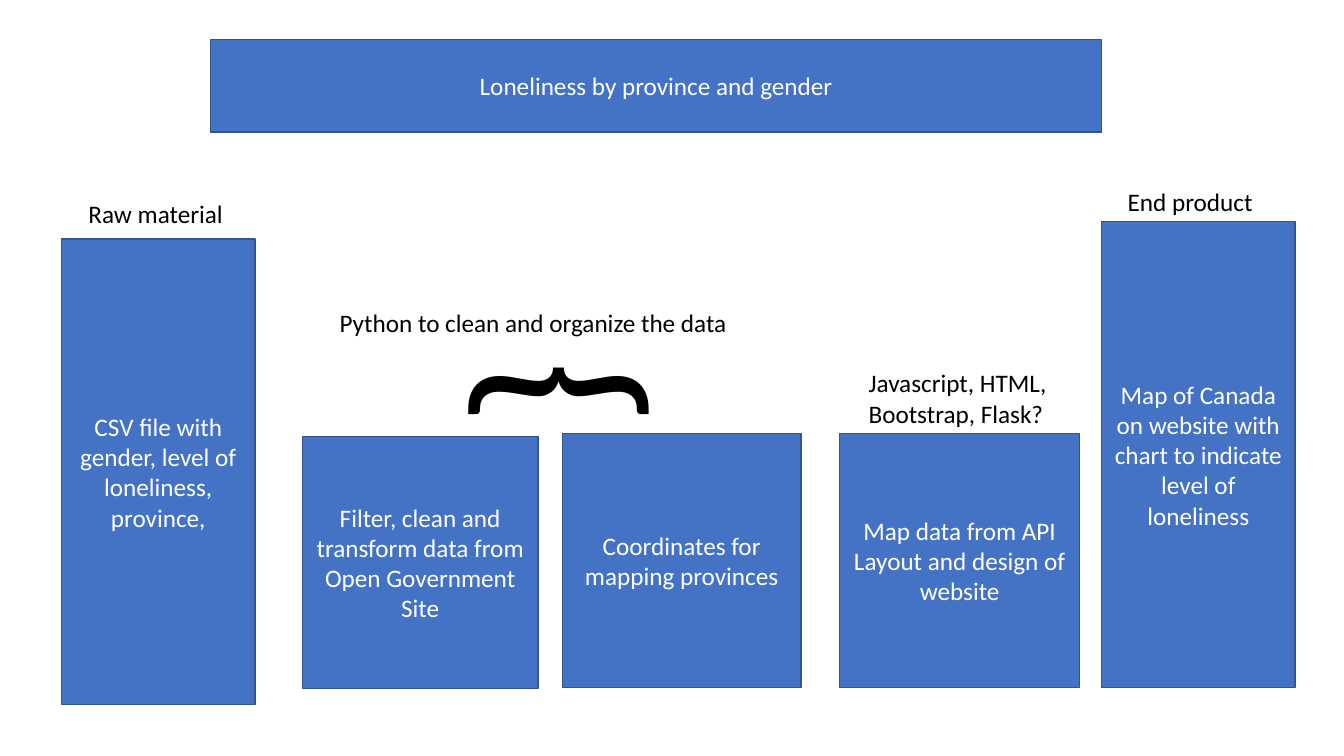
from pptx import Presentation
from pptx.dml.color import RGBColor
from pptx.enum.shapes import MSO_SHAPE
from pptx.enum.text import MSO_ANCHOR, MSO_AUTO_SIZE, PP_ALIGN
from pptx.util import Cm, Pt


def paint(color, code):
    """Give a fill, line or font colour format a solid hex colour."""
    color.rgb = RGBColor.from_string(code)


def write(shape, text, code, align, size=18):
    """Put text in a shape, one paragraph per line, in one style."""
    frame = shape.text_frame
    frame.text = text
    frame.auto_size = MSO_AUTO_SIZE.NONE
    for par in frame.paragraphs:
        par.alignment = align
        par.font.name = "Calibri"
        par.font.size = Pt(size)
        paint(par.font.color, code)


deck = Presentation()
deck.slide_width, deck.slide_height = Cm(33.87), Cm(19.05)
slide = deck.slides.add_slide(deck.slide_layouts[5])
shapes = slide.shapes

# Blue boxes: the title, then the steps from raw data to website
title = shapes.title
title.left, title.top = Cm(5.31), Cm(0.99)
title.width, title.height = Cm(22.45), Cm(2.34)
boxes = [(title, "Loneliness by province and gender")]

steps = [
    (1.55, 6.02, 4.88, 11.73,
     "CSV file with gender, level of loneliness, province,"),
    (27.76, 5.59, 4.88, 11.73,
     "Map of Canada on website with chart to indicate level of loneliness"),
    (7.62, 11, 5.94, 6.35,
     "Filter, clean and transform data from Open Government Site"),
    (14.17, 10.92, 6.02, 6.4, "Coordinates for mapping provinces"),
    (21.16, 10.92, 6.05, 6.4,
     "Map data from API\nLayout and design of website"),
]
for *place, text in steps:
    step = shapes.add_shape(MSO_SHAPE.RECTANGLE, *map(Cm, place))
    step.shadow.inherit = False
    boxes.append((step, text))

for box, text in boxes:
    box.fill.solid()
    paint(box.fill.fore_color, "4472C4")
    paint(box.line.color, "325491")
    box.line.width = Pt(1)
    write(box, text, "FFFFFF", PP_ALIGN.CENTER)
    box.text_frame.word_wrap = True
    box.text_frame.vertical_anchor = MSO_ANCHOR.MIDDLE

# Brace over the two Python steps
brace = shapes.add_textbox(Cm(9.3), Cm(3.4), Cm(8.53), Cm(6.68))
brace.rotation = 270
write(brace, "}", "000000", PP_ALIGN.LEFT, 150)
brace.text_frame.word_wrap = True

# Labels above the steps
labels = [
    (8.31, 7.62, 10.39, 1.02, "Python to clean and organize the data"),
    (1.98, 4.88, 3.94, 1.02, "Raw material"),
    (28.17, 4.57, 3.71, 1.02, "End product"),
    (21.64, 9.14, 5.05, 1.8, "Javascript, HTML,\nBootstrap, Flask?"),
]
for *place, text in labels:
    label = shapes.add_textbox(*map(Cm, place))
    write(label, text, "000000", PP_ALIGN.LEFT)
    label.text_frame.word_wrap = False

deck.save("out.pptx")
